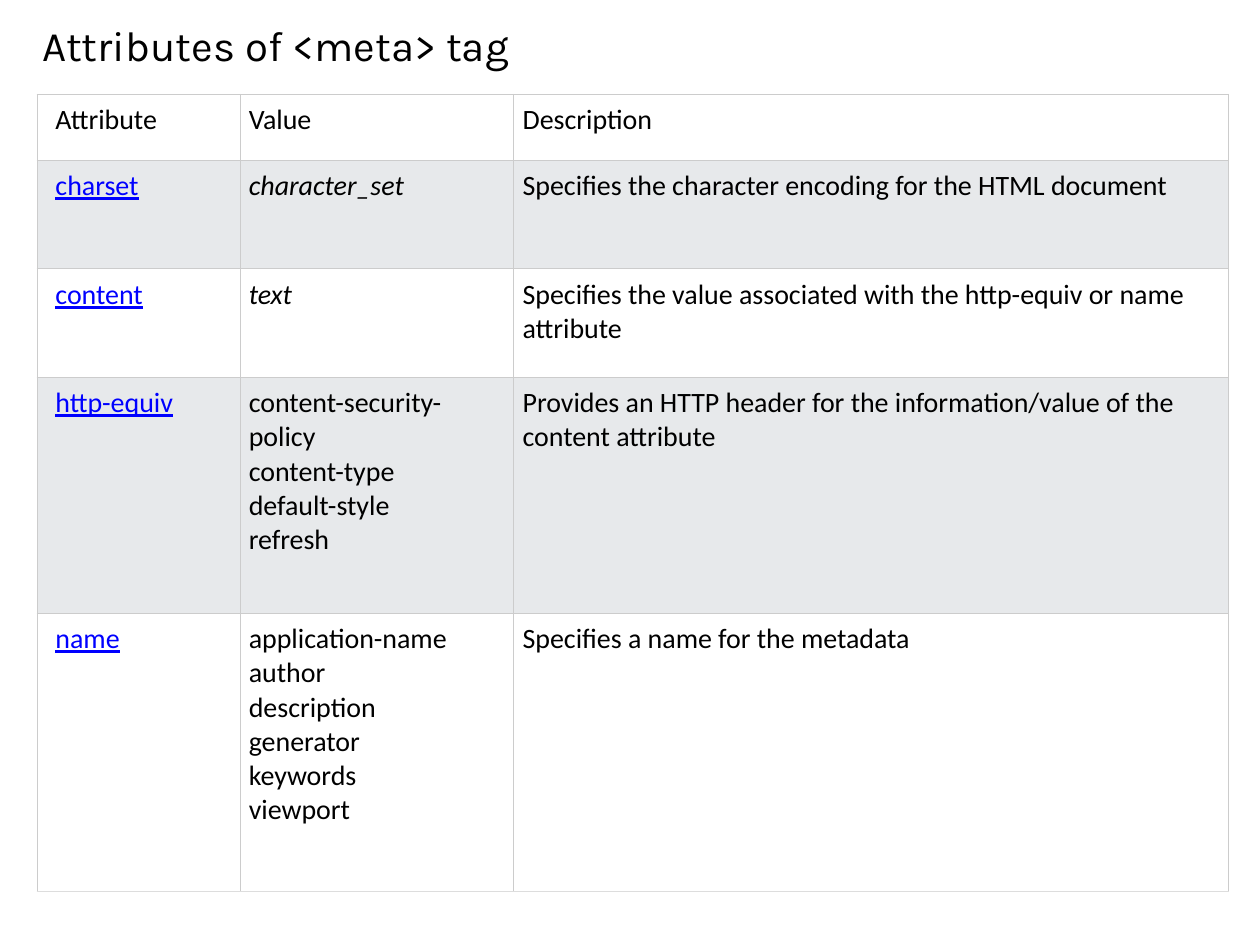
"""Build a slide with a table of the attributes of the HTML meta tag."""
from typing import NamedTuple

from lxml.etree import SubElement
from pptx import Presentation
from pptx.dml.color import RGBColor
from pptx.enum.text import MSO_ANCHOR, PP_ALIGN
from pptx.oxml.ns import qn
from pptx.util import Pt

COLORS = {
    "text": "000000",
    "link": "0000FF",
    "plain": "FFFFFF",
    "band": "E7E9EB",
    "border": "CCCCCC",
    "bottom": "DDDDDD",
}
COLUMN_WIDTHS = (116, 156.5, 408.5)
BORDER_WIDTH = Pt(0.75)


class TableRow(NamedTuple):
    attribute: str
    values: tuple[str, ...]
    description: str
    height: float
    is_header: bool = False
    italic_value: bool = False


ROWS = (
    TableRow("Attribute", ("Value",), "Description", 37.6, is_header=True),
    TableRow("charset", ("character_set",),
             "Specifies the character encoding for the HTML document",
             62, italic_value=True),
    TableRow("content", ("text",),
             "Specifies the value associated with the http-equiv or name attribute",
             62, italic_value=True),
    TableRow("http-equiv",
             ("content-security-policy", "content-type", "default-style", "refresh"),
             "Provides an HTTP header for the information/value of the content attribute",
             134.8),
    TableRow("name",
             ("application-name", "author", "description", "generator", "keywords", "viewport"),
             "Specifies a name for the metadata", 159.3),
)


def color(name: str) -> RGBColor:
    return RGBColor.from_string(COLORS[name])


def add_run(paragraph, text: str, font_name: str, size: float, color_name: str = "text"):
    run = paragraph.add_run()
    run.text = text
    run.font.name = font_name
    run.font.size = Pt(size)
    run.font.color.rgb = color(color_name)
    return run


def set_borders(cell, bottom: str) -> None:
    properties = cell._tc.get_or_add_tcPr()
    sides = {"a:lnL": "border", "a:lnR": "border", "a:lnT": "border", "a:lnB": bottom}
    for tag, color_name in sides.items():
        line = SubElement(properties, qn(tag), w=str(BORDER_WIDTH))
        fill = SubElement(line, qn("a:solidFill"))
        SubElement(fill, qn("a:srgbClr"), val=COLORS[color_name])


def format_cell(cell, left_margin: float, fill: str, bottom: str) -> None:
    cell.margin_left = Pt(left_margin)
    cell.margin_top = cell.margin_right = cell.margin_bottom = Pt(5)
    cell.vertical_anchor = MSO_ANCHOR.TOP
    set_borders(cell, bottom)
    cell.fill.solid()
    cell.fill.fore_color.rgb = color(fill)


def write_cell(cell, lines: tuple[str, ...], link: bool = False, italic: bool = False) -> None:
    paragraph = cell.text_frame.paragraphs[0]
    for index, line in enumerate(lines):
        if index:
            paragraph.add_line_break()
        run = add_run(paragraph, line, "Calibri", 16, "link" if link else "text")
        run.font.underline = link
        run.font.italic = italic


def add_title(slide, text: str) -> None:
    title = slide.shapes.title
    title.left, title.top, title.width, title.height = Pt(24), Pt(3.6), Pt(666), Pt(65)
    title.fill.solid()
    title.fill.fore_color.rgb = color("plain")
    frame = title.text_frame
    frame.word_wrap = True
    frame.vertical_anchor = MSO_ANCHOR.MIDDLE
    frame.margin_left = frame.margin_right = 0
    frame.margin_top, frame.margin_bottom = Pt(7.2), Pt(28)
    paragraph = frame.paragraphs[0]
    paragraph.alignment = PP_ALIGN.LEFT
    add_run(paragraph, text, "Karla", 24)


def add_attribute_table(slide, rows: tuple[TableRow, ...]) -> None:
    height = sum(row.height for row in rows)
    table = slide.shapes.add_table(
        len(rows), len(COLUMN_WIDTHS), Pt(21.2), Pt(54), Pt(sum(COLUMN_WIDTHS)), Pt(height)
    ).table
    table.first_row = table.horz_banding = False
    for column, width in zip(table.columns, COLUMN_WIDTHS):
        column.width = Pt(width)
    for index, row in enumerate(rows):
        table.rows[index].height = Pt(row.height)
        cells = table.rows[index].cells
        fill = "band" if index % 2 else "plain"
        bottom = "bottom" if index == len(rows) - 1 else "border"
        for cell, left_margin in zip(cells, (10.5, 5, 5)):
            format_cell(cell, left_margin, fill, bottom)
        write_cell(cells[0], (row.attribute,), link=not row.is_header)
        write_cell(cells[1], row.values, italic=row.italic_value)
        write_cell(cells[2], (row.description,))


def main() -> None:
    presentation = Presentation()
    presentation.slide_width, presentation.slide_height = Pt(720), Pt(540)
    slide = presentation.slides.add_slide(presentation.slide_layouts[5])
    add_title(slide, "Attributes of <meta> tag")
    add_attribute_table(slide, ROWS)
    presentation.save("out.pptx")


if __name__ == "__main__":
    main()
